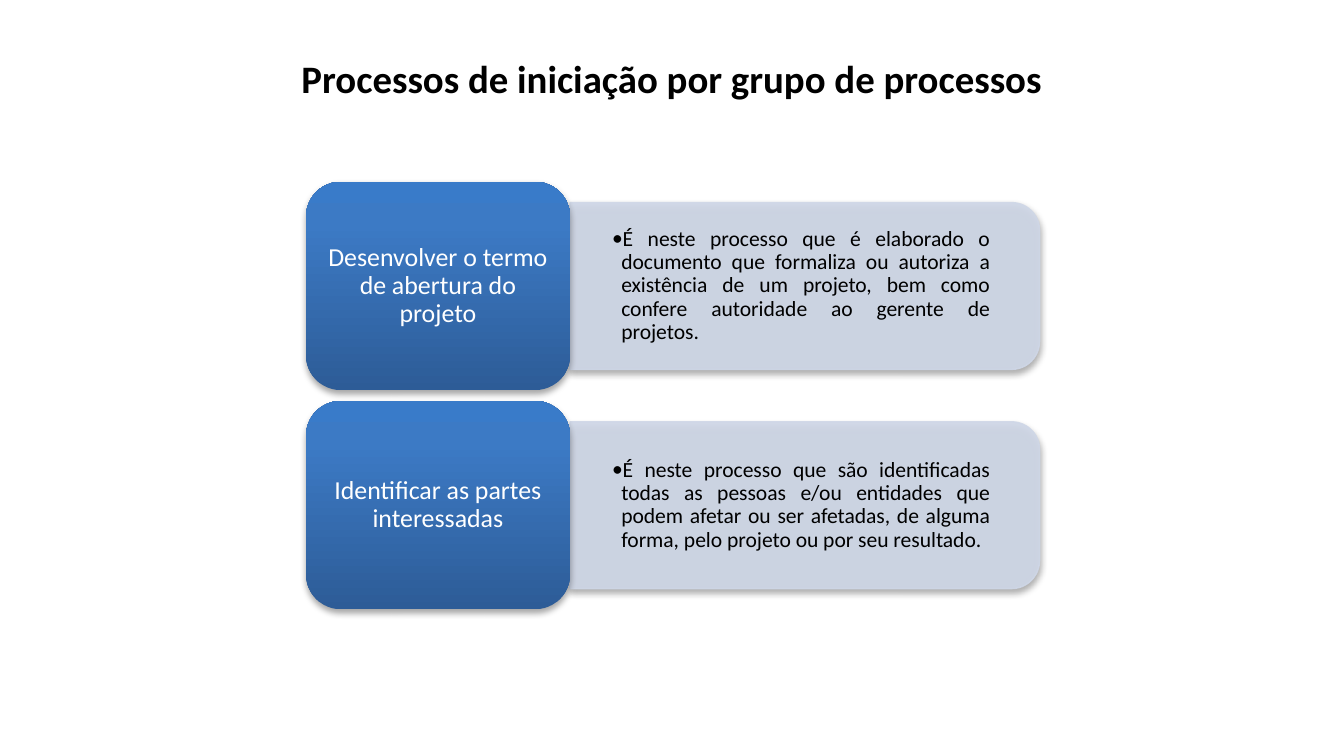
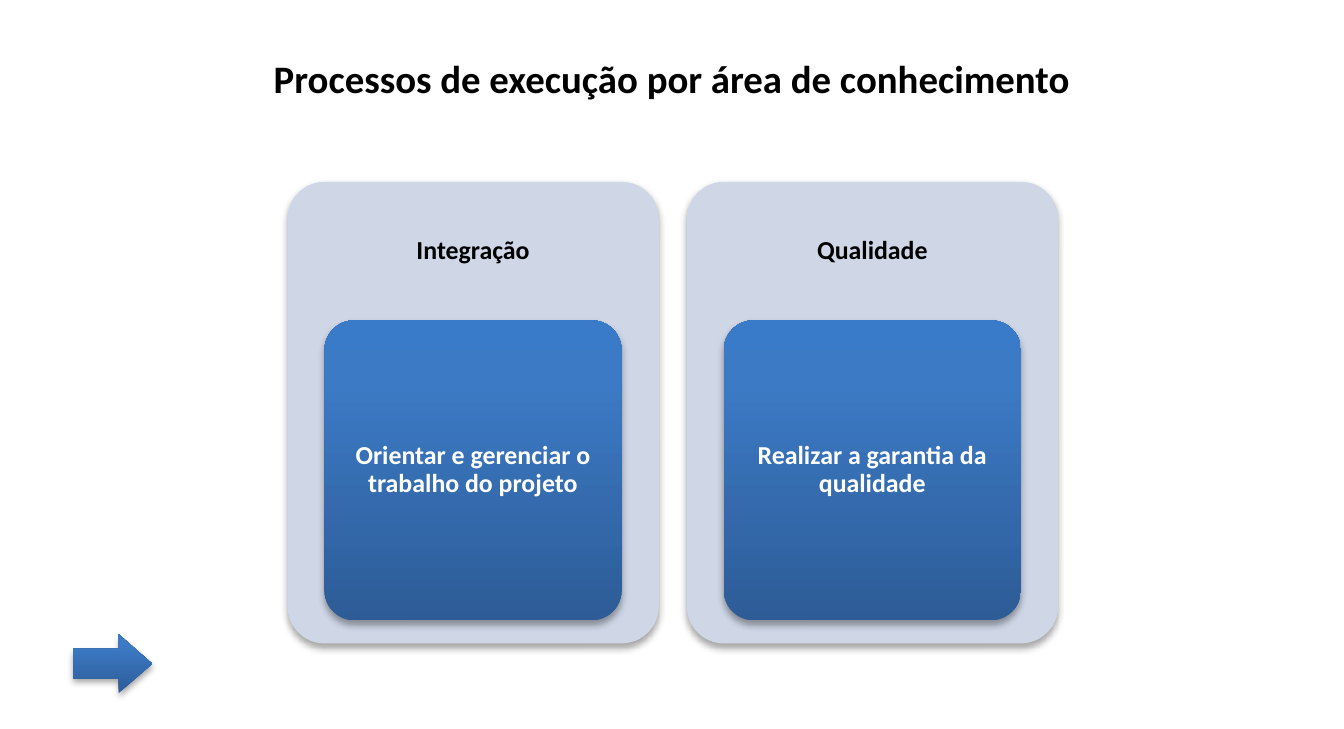
import copy

import pptx
import pptx.dml.color
import pptx.enum.shapes
import pptx.enum.text
import pptx.oxml
import pptx.oxml.ns
import pptx.util

W, H = 8.65, 4.69
FONT = "Calibri"
COLORS = {"panel": "CFD7E7", "text": "000000", "light": "FFFFFF",
          "deep": "2D5C97", "mid": "3C7AC5", "bright": "397BC9"}
GRADIENT = [(0, "deep"), (0.8, "mid"), (1, "bright")]
SHAPE = pptx.enum.shapes.MSO_SHAPE
ALIGN = pptx.enum.text.PP_ALIGN
ANCHOR = pptx.enum.text.MSO_ANCHOR
IN = pptx.util.Inches

INITIATION = [
    ("Desenvolver o termo de abertura do projeto",
     "É neste processo que é elaborado o documento que formaliza ou autoriza a existência "
     "de um projeto, bem como confere autoridade ao gerente de projetos."),
    ("Identificar as partes interessadas",
     "É neste processo que são identificadas todas as pessoas e/ou entidades que podem afetar "
     "ou ser afetadas, de alguma forma, pelo projeto ou por seu resultado."),
]
EXECUTION = [
    ("Integração", "Orientar e gerenciar o trabalho do projeto"),
    ("Qualidade", "Realizar a garantia da qualidade"),
]


def rgb(name):
    """Return the named colour of the palette."""
    return pptx.dml.color.RGBColor.from_string(COLORS[name])


def xml(tag, attrs="", inner=""):
    """Build one DrawingML element."""
    ns = pptx.oxml.ns.nsdecls("a")
    return pptx.oxml.parse_xml(f"<a:{tag} {ns} {attrs}>{inner}</a:{tag}>")


def write(s, text, size, color="text", bold=False, align=ALIGN.CENTER,
          anchor=ANCHOR.MIDDLE, spacing=0.9, inset=(0.05, 0.02)):
    """Write one formatted paragraph into a shape and return it."""
    tf = s.text_frame
    dx, dy = map(IN, inset)
    frame = {"word_wrap": True, "vertical_anchor": anchor, "margin_left": dx,
             "margin_right": dx, "margin_top": dy, "margin_bottom": dy}
    for key, value in frame.items():
        setattr(tf, key, value)
    p = tf.paragraphs[0]
    p.alignment, p.line_spacing = align, spacing
    r = p.add_run()
    r.text = text
    for key, value in {"name": FONT, "size": pptx.util.Pt(size), "bold": bold}.items():
        setattr(r.font, key, value)
    r.font.color.rgb = rgb(color)
    return p


def add_text(slide, box, text, size, **style):
    """Place a text box and write into it."""
    return write(slide.shapes.add_textbox(*map(IN, box)), text, size, **style)


def add_block(slide, kind, box, adjustments, fill=None):
    """Place a shadowed shape with a flat fill, or the blue gradient by default."""
    s = slide.shapes.add_shape(kind, *map(IN, box))
    for i, value in enumerate(adjustments):
        s.adjustments[i] = value
    s.line.fill.background()
    if fill:
        s.fill.solid()
        s.fill.fore_color.rgb = rgb(fill)
    else:
        s.fill.gradient()
        s.fill.gradient_angle = 90
        stops = s._element.spPr.find(".//" + pptx.oxml.ns.qn("a:gsLst"))
        stops.append(copy.deepcopy(stops[0]))
        for stop, (position, name) in zip(s.fill.gradient_stops, GRADIENT):
            stop.position = position
            stop.color.rgb = rgb(name)
    s.shadow.inherit = False
    effects = s._element.spPr.find(pptx.oxml.ns.qn("a:effectLst"))
    effects.append(xml(
        "outerShdw", 'blurRad="40000" dist="23000" dir="5400000" rotWithShape="0"',
        '<a:srgbClr val="000000"><a:alpha val="35000"/></a:srgbClr>'))
    return s


def add_titled_slide(prs, title):
    """Add a blank slide with the shared title."""
    slide = prs.slides.add_slide(prs.slide_layouts[6])
    add_text(slide, (0, 0.3, W, 0.4), title, 18, bold=True, anchor=ANCHOR.TOP,
             spacing=1, inset=(0.1, 0.05))
    return slide


def add_row(slide, box, label, detail):
    """Draw a blue label with its description panel on the right."""
    x, y, w, h = box
    label_w = 0.36 * w
    panel_x, panel_w, panel_h = x + label_w, w - label_w, 0.8 * h
    cx, cy = panel_x + panel_w / 2, y + h / 2
    s = add_block(slide, SHAPE.ROUND_2_SAME_RECTANGLE,
                  (cx - panel_h / 2, cy - panel_w / 2, panel_h, panel_w),
                  (0.167, 0), "panel")
    s.rotation = 90
    s.line.color.rgb = rgb("panel")
    s.line.width = pptx.util.Pt(0.75)
    for clr in s._element.spPr.findall(".//" + pptx.oxml.ns.qn("a:srgbClr"))[:2]:
        clr.append(xml("alpha", 'val="90000"'))
    p = add_text(slide, (panel_x, cy - 0.36 * h, panel_w - 0.05, 0.72 * h), detail, 10,
                 align=ALIGN.JUSTIFY, inset=(0.27, 0.14))
    pPr = p._p.get_or_add_pPr()
    pPr.set("marL", str(IN(0.06)))
    pPr.set("indent", str(-IN(0.06)))
    pPr.append(xml("buClr", inner=f'<a:srgbClr val="{COLORS["text"]}"/>'))
    pPr.append(xml("buFont", 'typeface="Calibri"'))
    pPr.append(xml("buChar", 'char="•"'))
    s = add_block(slide, SHAPE.ROUNDED_RECTANGLE, (x, y, label_w, h), (0.167,))
    write(s, label, 12, "light")


def add_card(slide, box, heading, process):
    """Draw a pale card with a heading and a blue process block."""
    x, y, w, h = box
    add_block(slide, SHAPE.ROUNDED_RECTANGLE, box, (0.1,), "panel")
    add_text(slide, (x, y, w, 0.3 * h), heading, 12, bold=True, inset=(0.05, 0.05))
    s = add_block(slide, SHAPE.ROUNDED_RECTANGLE,
                  (x + 0.1 * w, y + 0.3 * h, 0.8 * w, 0.65 * h), (0.1,))
    write(s, process, 12, "light", bold=True, inset=(0.03, 0.02))


def build_initiation(prs):
    """Build the slide of initiation processes as stacked rows."""
    slide = add_titled_slide(prs, "Processos de iniciação por grupo de processos")
    for i, (label, detail) in enumerate(INITIATION):
        add_row(slide, (1.97, 1.17 + 1.41 * i, 4.72, 1.34), label, detail)


def build_execution(prs):
    """Build the slide of execution processes as side-by-side cards."""
    slide = add_titled_slide(prs, "Processos de execução por área de conhecimento")
    for i, (heading, process) in enumerate(EXECUTION):
        add_card(slide, (1.85 + 2.57 * i, 1.17, 2.39, 2.97), heading, process)
    add_block(slide, SHAPE.RIGHT_ARROW, (0.47, 4.08, 0.51, 0.38), (0.5, 0.57))


def main():
    """Build and save the presentation."""
    prs = pptx.Presentation()
    prs.slide_width, prs.slide_height = IN(W), IN(H)
    build_initiation(prs)
    build_execution(prs)
    prs.save("out.pptx")


if __name__ == "__main__":
    main()
